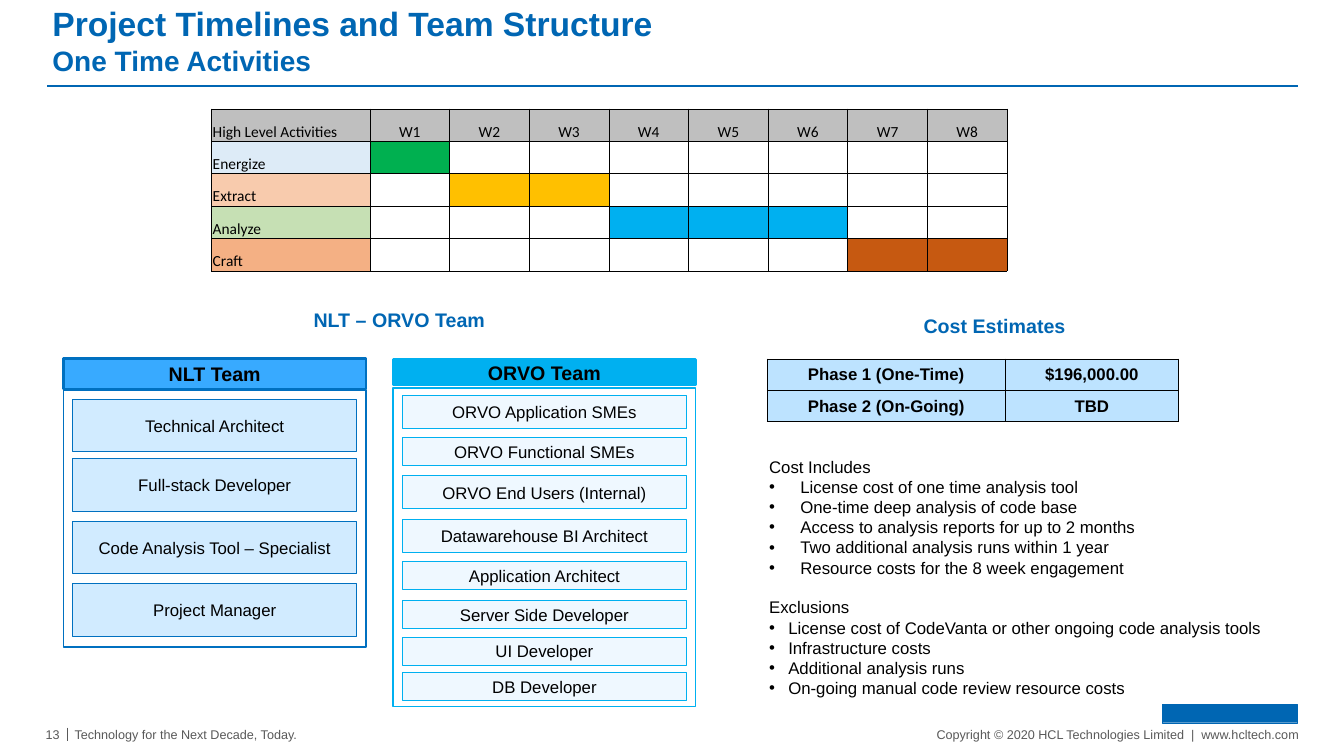
from lxml import etree
from pptx import Presentation
from pptx.dml.color import RGBColor
from pptx.enum import shapes, text
from pptx.oxml import ns
from pptx.util import Inches, Pt

COLORS = {
    "brand": "0066B3", "footer": "595959", "black": "000000", "white": "FFFFFF",
    "vendor_line": "0070C0", "vendor_head": "38AAFF", "vendor_role": "D1EBFF",
    "client_line": "00B0F0", "client_role": "EFF8FF",
    "week_head": "BFBFBF", "cost": "BDE3FF",
}
LEFT, CENTER, RIGHT = text.PP_ALIGN.LEFT, text.PP_ALIGN.CENTER, text.PP_ALIGN.RIGHT
MIDDLE, BOTTOM = text.MSO_ANCHOR.MIDDLE, text.MSO_ANCHOR.BOTTOM

# activity, label colour, bar colour, first week, last week
ACTIVITIES = [
    ("Energize", "DDEBF7", "00B050", 1, 1),
    ("Extract", "F8CBAD", "FFC000", 2, 3),
    ("Analyze", "C6E0B4", "00B0F0", 4, 6),
    ("Craft", "F4B084", "C65911", 7, 8),
]
# role, top within the team panel, height
VENDOR_ROLES = [
    ("Technical Architect", 0.4, 0.52),
    ("Full-stack Developer", 0.99, 0.52),
    ("Code Analysis Tool – Specialist", 1.61, 0.52),
    ("Project Manager", 2.23, 0.52),
]
CLIENT_ROLES = [
    ("ORVO Application SMEs", 0.36, 0.33),
    ("ORVO Functional SMEs", 0.78, 0.28),
    ("ORVO End Users (Internal)", 1.16, 0.33),
    ("Datawarehouse BI Architect", 1.59, 0.33),
    ("Application Architect", 2.01, 0.28),
    ("Server Side Developer", 2.4, 0.28),
    ("UI Developer", 2.76, 0.28),
    ("DB Developer", 3.11, 0.28),
]
COSTS = [("Phase 1 (One-Time)", "$196,000.00"), ("Phase 2 (On-Going)", "TBD")]
INCLUDED = [
    "License cost of one time analysis tool",
    "One-time deep analysis of code base",
    "Access to analysis reports for up to 2 months",
    "Two additional analysis runs within 1 year",
    "Resource costs for the 8 week engagement",
]
EXCLUDED = [
    "License cost of CodeVanta or other ongoing code analysis tools",
    "Infrastructure costs",
    "Additional analysis runs",
    "On-going manual code review resource costs",
]


def rgb(value):
    return RGBColor.from_string(value)


def style(paragraph, size, color=COLORS["black"], bold=False, align=LEFT, face="Arial"):
    paragraph.alignment = align
    for run in paragraph.runs:
        run.font.name, run.font.size, run.font.bold = face, Pt(size), bold
        run.font.color.rgb = rgb(color)


def add_label(slide, box, words, size, color, bold=False, align=LEFT, inset=None):
    label = slide.shapes.add_textbox(*map(Inches, box)).text_frame
    label.word_wrap = True
    label.vertical_anchor = MIDDLE
    if inset is not None:
        label.margin_left = label.margin_right = Inches(inset)
        label.margin_top = label.margin_bottom = Inches(inset)
    label.text = words
    style(label.paragraphs[0], size, color, bold, align)
    return label


def add_box(slide, box, fill, line, width, words="", size=12, bold=False):
    panel = slide.shapes.add_shape(shapes.MSO_SHAPE.RECTANGLE, *map(Inches, box))
    panel.shadow.inherit = False
    panel.fill.solid()
    panel.fill.fore_color.rgb = rgb(fill)
    panel.line.color.rgb = rgb(line)
    panel.line.width = Pt(width)
    if words:
        panel.text_frame.text = words
        panel.text_frame.word_wrap = True
        panel.text_frame.vertical_anchor = MIDDLE
        style(panel.text_frame.paragraphs[0], size, bold=bold, align=CENTER)


def add_rule(slide, x1, y1, x2, y2, color, width):
    rule = slide.shapes.add_connector(
        shapes.MSO_CONNECTOR.STRAIGHT, *map(Inches, (x1, y1, x2, y2)))
    rule.line.color.rgb = rgb(color)
    rule.line.width = Pt(width)
    etree.SubElement(rule._element.spPr, ns.qn("a:effectLst"))


def add_grid(slide, box, widths, row_count):
    frame = slide.shapes.add_table(row_count, len(widths), *map(Inches, box))
    grid = frame.table
    grid.first_row = grid.horz_banding = False
    for column, width in zip(grid.columns, widths):
        column.width = Inches(width)
    return grid


def fill_cell(cell, words, fill, anchor, **look):
    cell.margin_left = cell.margin_right = cell.margin_top = Inches(0.01)
    cell.margin_bottom = 0
    cell.vertical_anchor = anchor
    # Thin black border on each side
    for side in ("lnL", "lnR", "lnT", "lnB"):
        edge = etree.SubElement(cell._tc.get_or_add_tcPr(), ns.qn("a:" + side), w=str(Pt(0.5)))
        paint = etree.SubElement(edge, ns.qn("a:solidFill"))
        etree.SubElement(paint, ns.qn("a:srgbClr"), val=COLORS["black"])
    if fill:
        cell.fill.solid()
        cell.fill.fore_color.rgb = rgb(fill)
    else:
        cell.fill.background()
    if words:
        cell.text_frame.text = words
        style(cell.text_frame.paragraphs[0], **look)


def add_header(slide, left, top, width, height):
    title = slide.shapes.title
    title.left, title.top, title.width, title.height = map(Inches, (left, top, width, height))
    heading = title.text_frame
    heading.auto_size = text.MSO_AUTO_SIZE.NONE
    heading.vertical_anchor = MIDDLE
    heading.margin_left = heading.margin_right = Inches(0.05)
    heading.margin_top = heading.margin_bottom = Inches(0.05)
    heading.text = "Project Timelines and Team Structure\vOne Time Activities"
    style(heading.paragraphs[0], 24, COLORS["brand"], bold=True)
    heading.paragraphs[0].runs[1].font.size = Pt(20)
    rule_y = top + height + 0.05
    add_rule(slide, left, rule_y, left + width, rule_y, COLORS["brand"], 1.5)


def add_timeline(slide, left, top, width, height):
    weeks, label_width = 8, 1.57
    widths = [label_width] + [(width - label_width) / weeks] * weeks
    grid = add_grid(slide, (left, top, width, height), widths, len(ACTIVITIES) + 1)
    look = {"size": 11, "face": "Calibri"}
    fill_cell(grid.cell(0, 0), "High Level Activities", COLORS["week_head"], BOTTOM, **look)
    for week in range(1, weeks + 1):
        fill_cell(grid.cell(0, week), f"W{week}", COLORS["week_head"], BOTTOM,
                  align=CENTER, **look)
    for row, (activity, tint, bar, first, last) in enumerate(ACTIVITIES, 1):
        fill_cell(grid.cell(row, 0), activity, tint, BOTTOM, **look)
        for week in range(1, weeks + 1):
            fill_cell(grid.cell(row, week), "", bar if first <= week <= last else None, BOTTOM)


def add_team(slide, left, top, width, height, name, head, body_top, roles, fills):
    head_fill, role_fill, line = (COLORS[key] for key in fills)
    head_top, head_height = head
    add_box(slide, (left, top + body_top, width, height - body_top), COLORS["white"], line, 1)
    add_box(slide, (left, top + head_top, width, head_height), head_fill, line, 2, name, 14, True)
    for role, role_top, role_height in roles:
        add_box(slide, (left + 0.09, top + role_top, width - 0.18, role_height),
                role_fill, line, 0.75, role)


def add_heading(slide, box, words):
    heading = add_label(slide, box, words, 14, COLORS["brand"], True, CENTER)
    heading.paragraphs[0].line_spacing = 1.5


def add_cost_table(slide, left, top, width, height):
    label_width = 2.36
    grid = add_grid(slide, (left, top, width, height),
                    [label_width, width - label_width], len(COSTS))
    for row, phase in enumerate(COSTS):
        for column, words in enumerate(phase):
            fill_cell(grid.cell(row, column), words, COLORS["cost"], MIDDLE,
                      size=12, bold=True, align=CENTER)


def add_cost_notes(slide, left, top, width, height):
    notes = slide.shapes.add_textbox(*map(Inches, (left, top, width, height))).text_frame
    notes.word_wrap = True
    sections = [("Cost Includes", INCLUDED, 0.31), ("Exclusions", EXCLUDED, 0.19)]
    for number, (heading, items, indent) in enumerate(sections):
        opener = notes.add_paragraph() if number else notes.paragraphs[0]
        opener.text = heading
        if number:
            opener.space_before = Pt(14)
        style(opener, 12)
        for item in items:
            bullet = notes.add_paragraph()
            props = bullet._p.get_or_add_pPr()
            props.set("marL", str(Inches(indent)))
            props.set("indent", str(-Inches(indent)))
            etree.SubElement(props, ns.qn("a:buFont"), typeface="Arial")
            etree.SubElement(props, ns.qn("a:buChar"), char="•")
            bullet.text = item
            style(bullet, 12)


def add_footer(slide, left, top, width, height):
    right, gray = left + width, COLORS["footer"]
    add_label(slide, (left, top, 0.15, height), "13", 9, gray, align=RIGHT, inset=0)
    add_rule(slide, left + 0.23, top + 0.01, left + 0.23, top + 0.14, gray, 0.75)
    add_label(slide, (left + 0.3, top, 2.4, height),
              "Technology for the Next Decade, Today.", 9, gray, inset=0)
    add_label(slide, (right - 3.79, top, 3.79, height),
              "Copyright © 2020 HCL Technologies Limited  |  www.hcltech.com",
              9, gray, align=RIGHT, inset=0)
    # Plain brand block
    add_box(slide, (right - 1.35, top - 0.22, 1.34, 0.18), COLORS["brand"], COLORS["brand"], 0.25)


def main():
    deck = Presentation()
    deck.slide_width, deck.slide_height = Inches(13.33), Inches(7.5)
    slide = deck.slides.add_slide(deck.slide_layouts[5])
    add_header(slide, 0.47, 0, 12.4, 0.8)
    add_timeline(slide, 2.1, 1.08, 7.89, 1.61)
    # Teams
    add_heading(slide, (1.07, 2.9, 5.78, 0.42), "NLT – ORVO Team")
    add_team(slide, 0.63, 3.56, 3, 2.86, "NLT Team", (0, 0.3), 0.31, VENDOR_ROLES,
             ("vendor_head", "vendor_role", "vendor_line"))
    add_team(slide, 3.9, 3.56, 3, 3.45, "ORVO Team", (0.01, 0.25), 0.29, CLIENT_ROLES,
             ("client_line", "client_role", "client_line"))
    # Costs
    add_heading(slide, (7.53, 2.96, 4.67, 0.42), "Cost Estimates")
    add_cost_table(slide, 7.61, 3.56, 4.08, 0.62)
    add_cost_notes(slide, 7.53, 4.48, 5.2, 2.52)
    add_footer(slide, 0.44, 7.21, 12.44, 0.15)
    deck.save("out.pptx")


if __name__ == "__main__":
    main()
